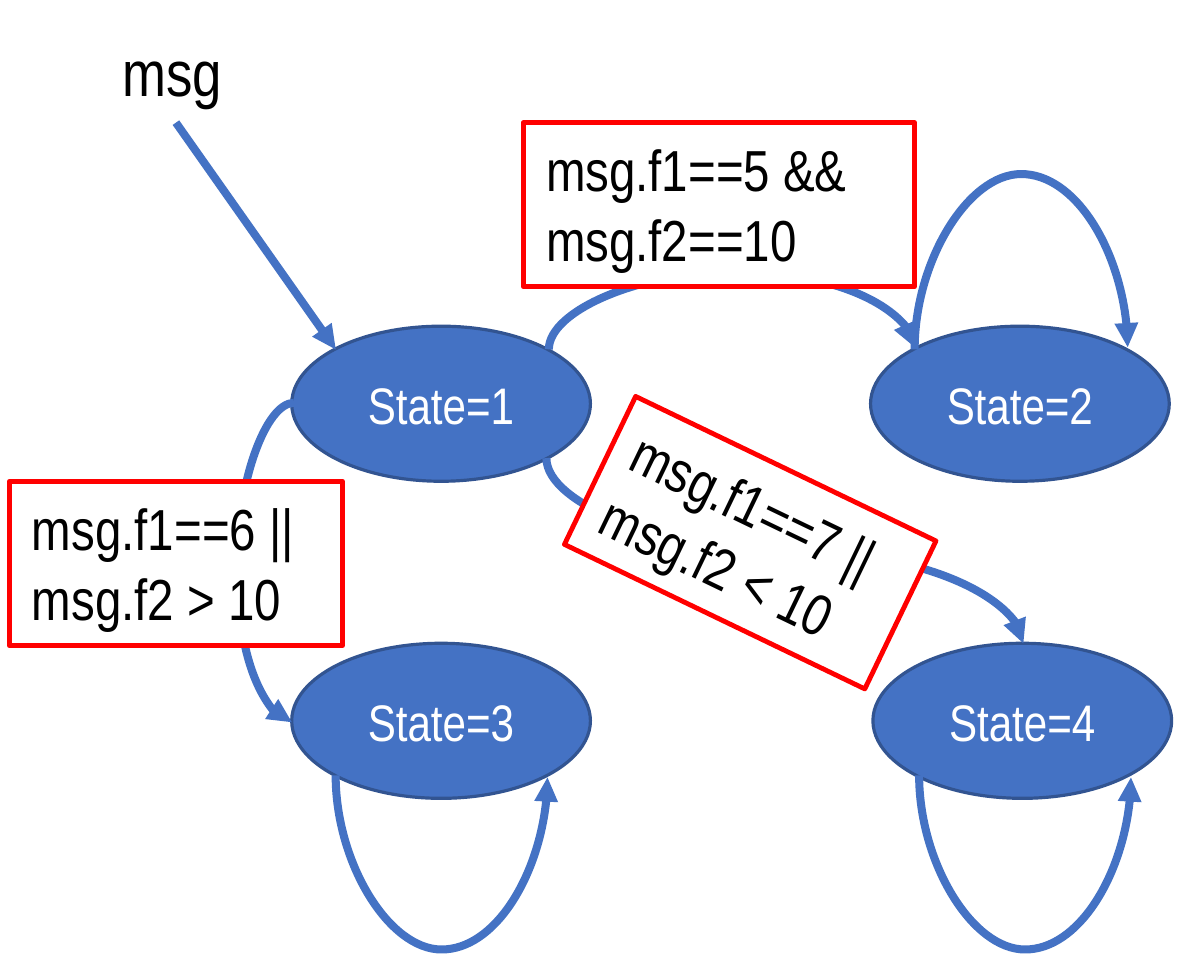
from dataclasses import dataclass

from lxml import etree
from pptx import Presentation
from pptx.dml.color import RGBColor
from pptx.enum.shapes import MSO_CONNECTOR, MSO_SHAPE
from pptx.enum.text import MSO_ANCHOR, MSO_AUTO_SIZE, PP_ALIGN
from pptx.oxml.ns import qn
from pptx.util import Inches, Pt

OVAL, RECT = MSO_SHAPE.OVAL, MSO_SHAPE.RECTANGLE
STRAIGHT, CURVE = MSO_CONNECTOR.STRAIGHT, MSO_CONNECTOR.CURVE
LEFT, CENTER = PP_ALIGN.LEFT, PP_ALIGN.CENTER
TOP, MIDDLE = MSO_ANCHOR.TOP, MSO_ANCHOR.MIDDLE
GROW = MSO_AUTO_SIZE.SHAPE_TO_FIT_TEXT
COLUMNS, ROWS = 52, 42


@dataclass(frozen=True)
class Theme:
    font: str = "Arial Narrow"
    blue: str = "4472C4"
    outline: str = "325491"
    red: str = "FF0000"
    white: str = "FFFFFF"
    black: str = "000000"
    state_size: int = 16
    guard_size: int = 18
    message_size: int = 20


class Diagram:
    def __init__(self, prs, theme):
        self.theme = theme
        self.slide = prs.slides.add_slide(prs.slide_layouts[6])
        self.column = prs.slide_width / COLUMNS
        self.row = prs.slide_height / ROWS

    def place(self, x, y, w, h):
        return [round(v) for v in (x * self.column, y * self.row,
                                   w * self.column, h * self.row)]

    def label(self, sp, text, size, color, align=LEFT, anchor=TOP):
        tf = sp.text_frame
        tf.word_wrap = True
        tf.vertical_anchor = anchor
        tf.text = text
        p = tf.paragraphs[0]
        p.alignment = align
        font = p.runs[0].font
        font.name = self.theme.font
        font.size = Pt(size)
        font.color.rgb = RGBColor.from_string(color)

    def shape(self, kind, box, fill, line, width):
        sp = self.slide.shapes.add_shape(kind, *self.place(*box))
        sp.shadow.inherit = False
        sp.fill.solid()
        sp.fill.fore_color.rgb = RGBColor.from_string(fill)
        sp.line.color.rgb = RGBColor.from_string(line)
        sp.line.width = Pt(width)
        return sp

    def state(self, text, x, y):
        t = self.theme
        sp = self.shape(OVAL, (x, y, 12.9, 6.7), t.blue, t.outline, 1)
        self.label(sp, text, t.state_size, t.white, CENTER, MIDDLE)

    def guard(self, text, x, y, w, angle=0):
        t = self.theme
        sp = self.shape(RECT, (x, y, w, 7.1), t.white, t.red, 1.5)
        sp.rotation = angle
        self.label(sp, text, t.guard_size, t.black)
        sp.text_frame.auto_size = GROW

    def message(self, text, x, y, w, h):
        sp = self.slide.shapes.add_textbox(*self.place(x, y, w, h))
        self.label(sp, text, self.theme.message_size, self.theme.black)
        sp.text_frame.auto_size = GROW

    def arrow(self, x1, y1, x2, y2, kind=STRAIGHT):
        ends = self.place(x1, y1, x2, y2)
        cxn = self.slide.shapes.add_connector(kind, *ends)
        cxn.line.color.rgb = RGBColor.from_string(self.theme.blue)
        cxn.line.width = Pt(2.5)
        ln = cxn._element.spPr.find(qn("a:ln"))
        etree.SubElement(ln, qn("a:tailEnd"), type="triangle")
        etree.SubElement(cxn._element.spPr, qn("a:effectLst"))
        return cxn

    def curve(self, x1, y1, x2, y2, bend, sideways=False):
        run, rise = abs(x2 - x1), abs(y2 - y1)
        if sideways:
            w, h, turn, flips = run, rise, 180, ("flipV",)
            share = (bend - x1) / (x2 - x1)
        else:
            w, h = rise, run
            turn, flips = (270, ("flipH",)) if y2 > y1 else (90, ("flipH", "flipV"))
            share = (bend - y1) / (y2 - y1)
        x, y = (x1 + x2 - w) / 2, (y1 + y2 - h) / 2
        cxn = self.arrow(x, y, x + w, y + h, CURVE)
        xfrm = cxn._element.spPr.find(qn("a:xfrm"))
        xfrm.set("rot", str(turn * 60000))
        for flip in flips:
            xfrm.set(flip, "1")
        guides = cxn._element.spPr.find(qn("a:prstGeom")).find(qn("a:avLst"))
        etree.SubElement(guides, qn("a:gd"), name="adj1",
                         fmla=f"val {round(share * 100000)}")


def main():
    prs = Presentation()
    prs.slide_width, prs.slide_height = Inches(5.2), Inches(4.2)
    d = Diagram(prs, Theme())

    states = [(12.6, 14.1), (37.6, 14.1), (12.6, 27.8), (37.7, 27.8)]
    for number, (x, y) in enumerate(states, 1):
        d.state(f"State={number}", x, y)

    d.curve(23.7, 15.1, 39.5, 15, 11.7)
    d.curve(12.7, 17.4, 12.6, 31.2, 10.2, sideways=True)
    d.curve(23.6, 19.8, 44.2, 27.8, 23.8)

    d.guard("msg.f1==5 && msg.f2==10", 22.6, 5.3, 16.9)
    d.guard("msg.f1==6 || msg.f2 > 10", 0.4, 20.8, 14.4)
    d.guard("msg.f1==7 || msg.f2 < 10", 25.2, 19.9, 14.4, 25.7)

    d.curve(39.5, 15.1, 48.7, 15, 7.4)
    for x in (14.5, 39.7):
        d.curve(x, 33.5, x + 9.15, 33.6, 41.15)

    d.arrow(7.6, 5.3, 14.5, 15.1)
    d.message("msg", 4.3, 0.9, 9.6, 4.4)
    prs.save("out.pptx")


if __name__ == "__main__":
    main()
